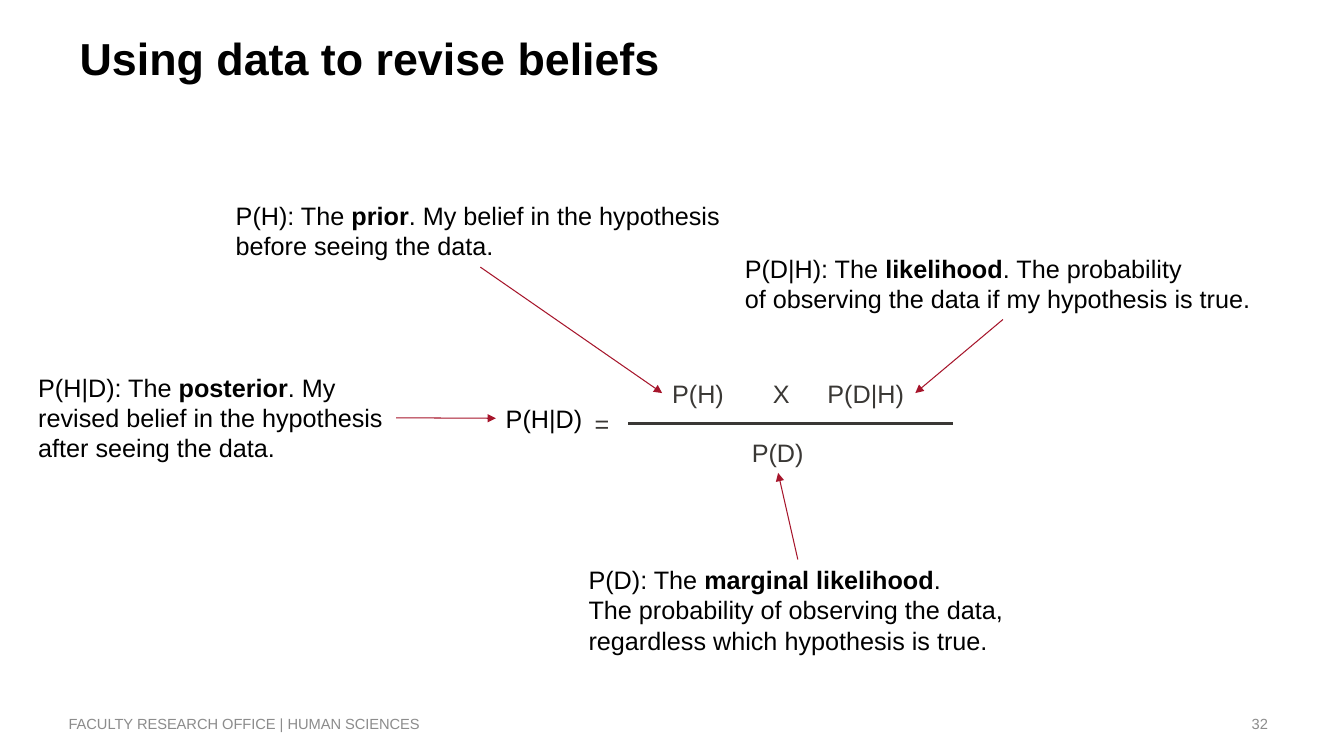
from lxml import etree
from pptx import Presentation
from pptx.dml.color import RGBColor
from pptx.enum.shapes import MSO_CONNECTOR
from pptx.enum.text import MSO_ANCHOR, MSO_AUTO_SIZE, PP_ALIGN
from pptx.oxml.ns import qn
from pptx.util import Pt

STRAIGHT = MSO_CONNECTOR.STRAIGHT
TOP, MIDDLE = MSO_ANCHOR.TOP, MSO_ANCHOR.MIDDLE
LEFT, RIGHT = PP_ALIGN.LEFT, PP_ALIGN.RIGHT
FIT_SHAPE, NO_FIT = MSO_AUTO_SIZE.SHAPE_TO_FIT_TEXT, MSO_AUTO_SIZE.NONE
BLACK = RGBColor(0x00, 0x00, 0x00)
CHARCOAL = RGBColor(0x3A, 0x38, 0x35)
GREY = RGBColor(0x8C, 0x8C, 0x8C)
CRIMSON = RGBColor(0xA6, 0x15, 0x2B)
SIDE_TOP, SIDE_LEFT, SIDE_BOTTOM, SIDE_RIGHT = range(4)


def write(box, lines, size, color, align=LEFT):
    """Fill a box; each line is a list of (text, bold) spans."""
    frame = box.text_frame
    for index, line in enumerate(lines):
        para = frame.add_paragraph() if index else frame.paragraphs[0]
        para.alignment = align
        for text, bold in line:
            span = para.add_run()
            span.text = text
            span.font.name = "Arial"
            span.font.size = Pt(size)
            span.font.bold = bold
            span.font.color.rgb = color


def add_line(page, color, width, start=(0, 0), end=(0, 0)):
    line = page.shapes.add_connector(STRAIGHT, *map(Pt, start + end))
    line.line.color.rgb = color
    line.line.width = Pt(width)
    etree.SubElement(line._element.spPr, qn("a:effectLst"))
    return line


deck = Presentation()
deck.slide_width, deck.slide_height = Pt(960), Pt(540)
page = deck.slides.add_slide(deck.slide_layouts[5])

# Title and footer, all without insets
title = page.shapes.title
title.left, title.top, title.width, title.height = Pt(56.9), Pt(21.6), Pt(666), Pt(51.1)
footer = page.shapes.add_textbox(Pt(49), Pt(502.6), Pt(423.4), Pt(28.8))
page_number = page.shapes.add_textbox(Pt(688.3), Pt(502.6), Pt(217.4), Pt(28.8))
for box, anchor in ((title, TOP), (footer, MIDDLE), (page_number, MIDDLE)):
    frame = box.text_frame
    frame.margin_left = frame.margin_top = frame.margin_right = frame.margin_bottom = 0
    frame.word_wrap = True
    frame.auto_size = NO_FIT
    frame.vertical_anchor = anchor
write(title, [[("Using data to revise beliefs", True)]], 32, BLACK)
write(footer, [[("FACULTY RESEARCH OFFICE | HUMAN SCIENCES", False)]], 10.5, GREY)
write(page_number, [[("32", False)]], 10.5, GREY, RIGHT)

# Terms of the formula: text, left, top, width, colour
terms = {}
for text, left, top, width, color in (
    ("P(H)", 473, 266.4, 51.8, CHARCOAL),
    ("P(D)", 529.9, 309, 51.8, CHARCOAL),
    ("P(D|H)", 584, 266.4, 69.8, CHARCOAL),
    ("P(H|D)", 354.2, 284.4, 69.8, BLACK),
    ("=", 417.6, 288, 25.2, CHARCOAL),
    ("X", 545, 266.4, 26.6, CHARCOAL),
):
    box = page.shapes.add_textbox(Pt(left), Pt(top), Pt(width), Pt(28.8))
    box.text_frame.word_wrap = False
    box.text_frame.auto_size = FIT_SHAPE
    write(box, [[(text, False)]], 18, color)
    terms[text] = box

# Fraction bar
add_line(page, CHARCOAL, 2.25, (448.6, 302.4), (680.4, 302.4))

# Explanations, each with an arrow to its term:
# term, name, rest of first line, further lines, frame, side left, side reached
for term, name, rest, further, bounds, from_side, to_side in (
    ("P(H|D)", "posterior", ". My",
     ["revised belief in the hypothesis", "after seeing the data."],
     (20.2, 262.1, 262.8, 72.7), SIDE_RIGHT, SIDE_LEFT),
    ("P(H)", "prior", ". My belief in the hypothesis",
     ["before seeing the data."],
     (161.3, 139.7, 363.6, 51.1), SIDE_BOTTOM, SIDE_LEFT),
    ("P(D|H)", "likelihood", ". The probability",
     ["of observing the data if my hypothesis is true."],
     (524.9, 177.1, 383, 51.1), SIDE_BOTTOM, SIDE_RIGHT),
    ("P(D)", "marginal likelihood", ".",
     ["The probability of observing the data,", "regardless which hypothesis is true."],
     (413.3, 399.6, 313.2, 72.7), SIDE_TOP, SIDE_BOTTOM),
):
    box = page.shapes.add_textbox(*map(Pt, bounds))
    box.text_frame.word_wrap = False
    box.text_frame.auto_size = FIT_SHAPE
    first = [(f"{term}: The ", False), (name, True), (rest, False)]
    write(box, [first] + [[(text, False)] for text in further], 18, BLACK)

    arrow = add_line(page, CRIMSON, 0.75)
    arrow.begin_connect(box, from_side)
    arrow.end_connect(terms[term], to_side)
    etree.SubElement(arrow.line._get_or_add_ln(), qn("a:tailEnd"), type="triangle")

deck.save("out.pptx")
